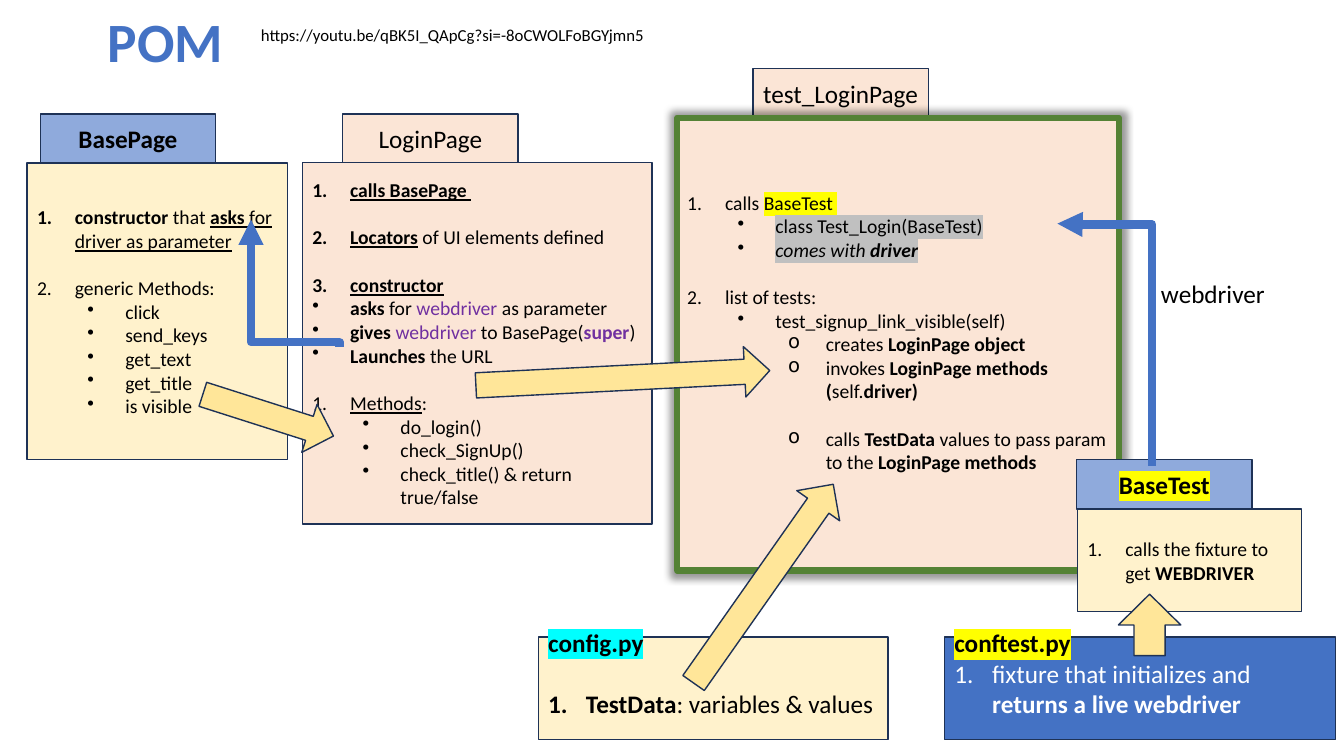
from dataclasses import dataclass
from typing import Optional

from lxml.etree import SubElement
from pptx import Presentation
from pptx.dml.color import RGBColor
from pptx.enum.shapes import MSO_CONNECTOR, MSO_SHAPE
from pptx.enum.text import MSO_ANCHOR, PP_ALIGN
from pptx.oxml.ns import qn
from pptx.util import Pt

BLACK = RGBColor(0, 0, 0)
WHITE = RGBColor(255, 255, 255)
BLUE = RGBColor(0x44, 0x72, 0xC4)
LIGHT_BLUE = RGBColor(0x8F, 0xAA, 0xDC)
NAVY = RGBColor(0x1E, 0x32, 0x56)
CREAM = RGBColor(0xFF, 0xF2, 0xCC)
PEACH = RGBColor(0xFB, 0xE5, 0xD6)
GOLD = RGBColor(0xFF, 0xE6, 0x99)
GREEN = RGBColor(0x54, 0x82, 0x35)
PURPLE = RGBColor(0x70, 0x30, 0xA0)
YELLOW = RGBColor(255, 255, 0)
CYAN = RGBColor(0, 255, 255)
SILVER = RGBColor(0xC0, 0xC0, 0xC0)

FONT = "Calibri"
HANG = 27
LEVEL_STEP = 36
INSET = 3.6
SMALL_LINE, LARGE_LINE = 17.1, 22
TAB_WIDTH, TAB_HEIGHT = 125.3, 35.3


@dataclass
class Span:
    """Text with a style made of the letters b, i and u."""
    text: str
    style: str = ""
    color: Optional[RGBColor] = None
    highlight: Optional[RGBColor] = None


@dataclass
class Para:
    """A line of text; mark is a number, a bullet character or nothing."""
    spans: list[Span]
    mark: int | str | None = None
    level: int = 0
    gap: float = 0
    color: RGBColor = BLACK


@dataclass
class Box:
    left: float
    top: float
    width: float
    height: float
    fill: RGBColor
    paras: list[Para]
    size: float = 14
    align: PP_ALIGN = PP_ALIGN.LEFT
    bottom_inset: float = INSET
    framed: bool = False


@dataclass
class BlockArrow:
    left: float
    top: float
    width: float
    height: float
    rotation: float


@dataclass
class Label:
    left: float
    top: float
    width: float
    height: float
    text: str
    size: float
    color: RGBColor = BLACK
    bold: bool = False


def tab(left: float, top: float, fill: RGBColor, span: Span) -> Box:
    return Box(left, top, TAB_WIDTH, TAB_HEIGHT, fill, [Para([span])], 18, PP_ALIGN.CENTER)


def bullets(level: int, *texts: str) -> list[Para]:
    return [Para([Span(text)], "•", level) for text in texts]


BOXES = [
    tab(28.8, 81.4, LIGHT_BLUE, Span("BasePage", "b")),
    Box(19.4, 116.6, 185.8, 211.7, CREAM, [
        Para([Span("constructor", "b"), Span(" that "), Span("asks", "bu"),
              Span(" for driver as parameter", "u")], 1),
        Para([Span("generic Methods:")], 2, gap=SMALL_LINE),
        *bullets(1, "click", "send_keys", "get_text", "get_title", "is visible")]),
    tab(244.8, 81.4, PEACH, Span("LoginPage")),
    Box(216, 115.9, 249.8, 258.5, PEACH, [
        Para([Span("calls BasePage ", "bu")], 1),
        Para([Span("Locators", "bu"), Span(" of UI elements defined")], 2, gap=SMALL_LINE),
        Para([Span("constructor", "bu")], 3, gap=SMALL_LINE),
        Para([Span("asks", "b"), Span(" for "), Span("webdriver", color=PURPLE),
              Span(" as parameter")], "•"),
        Para([Span("gives ", "b"), Span("webdriver ", color=PURPLE), Span("to BasePage("),
              Span("super", "b", PURPLE), Span(")")], "•"),
        Para([Span("Launches", "b"), Span(" the URL")], "•"),
        Para([Span("Methods", "u"), Span(":")], 1, gap=SMALL_LINE),
        *bullets(1, "do_login()", "check_SignUp()", "check_title() & return true/false")]),
    Box(674.6, 455, 279.4, 73.4, BLUE, [
        Para([Span("conftest.py", "b", highlight=YELLOW)]),
        Para([Span("fixture that initializes and "), Span("returns a live webdriver", "b")],
             1, color=WHITE)], 18, bottom_inset=INSET + LARGE_LINE),
    Box(384.5, 455, 249.8, 73.4, CREAM, [
        Para([Span("config.py", "b", highlight=CYAN)]),
        Para([Span("TestData", "b"), Span(": variables & values")], 1, gap=LARGE_LINE)],
        18, bottom_inset=INSET + LARGE_LINE),
    tab(537.8, 49, PEACH, Span("test_LoginPage")),
    Box(483.8, 84.2, 315.4, 323.3, PEACH, [
        Para([Span("calls "), Span("BaseTest ", highlight=YELLOW)], 1),
        Para([Span("class Test_Login(BaseTest)", highlight=SILVER)], "•", 1),
        Para([Span("comes with ", "i", highlight=SILVER),
              Span("driver", "bi", highlight=SILVER)], "•", 1),
        Para([Span("list of tests:")], 2, gap=SMALL_LINE),
        *bullets(1, "test_signup_link_visible(self)"),
        Para([Span("creates "), Span("LoginPage object", "b")], "o", 2),
        Para([Span("invokes "), Span("LoginPage methods (", "b"), Span("self."),
              Span("driver)", "b")], "o", 2),
        Para([Span("calls"), Span(" TestData ", "b"), Span("values to pass param to the"),
              Span(" LoginPage methods", "b")], "o", 2, SMALL_LINE)],
        bottom_inset=INSET + SMALL_LINE, framed=True),
    tab(769, 328.3, LIGHT_BLUE, Span("BaseTest", "b", highlight=YELLOW)),
    Box(769.7, 363.6, 159.8, 73.4, CREAM, [
        Para([Span("calls the fixture to get "), Span("WEBDRIVER", "b")], 1)]),
]
BLOCK_ARROWS = [
    BlockArrow(799.2, 424.1, 43.9, 44.6, 270),
    BlockArrow(458.6, 398.2, 173.5, 37.4, 305.1),
    BlockArrow(339.8, 252, 210.2, 36, 357.1),
    BlockArrow(142.6, 278.6, 97.9, 36, 17.7),
]
LABELS = [
    Label(69.8, 20.9, 109.4, 15.1, "POM", 39.6, BLUE, True),
    Label(822.2, 195.1, 107.3, 28.8, "webdriver", 18),
    Label(179.3, 14.4, 300.2, 21.6, "https://youtu.be/qBK5I_QApCg?si=-8oCWOLFoBGYjmn5", 12),
]


def write_para(para, content: Para, size: float, align: PP_ALIGN) -> None:
    para.alignment, para.level = align, content.level
    if content.gap:
        para.space_before = Pt(content.gap)
    if content.mark is not None:
        properties = para._p.get_or_add_pPr()
        properties.set("marL", str(Pt(HANG + LEVEL_STEP * content.level)))
        properties.set("indent", str(Pt(-HANG)))
        if isinstance(content.mark, int):
            SubElement(properties, qn("a:buAutoNum"), type="arabicPeriod", startAt=str(content.mark))
        else:
            SubElement(properties, qn("a:buChar"), char=content.mark)
    para.font.name, para.font.size = FONT, Pt(size)
    para.font.color.rgb = content.color
    for span in content.spans:
        run = para.add_run()
        run.text = span.text
        for letter, name in (("b", "bold"), ("i", "italic"), ("u", "underline")):
            if letter in span.style:
                setattr(run.font, name, True)
        if span.color is not None:
            run.font.color.rgb = span.color
        if span.highlight is not None:
            highlight = SubElement(run._r.get_or_add_rPr(), qn("a:highlight"))
            SubElement(highlight, qn("a:srgbClr"), val=str(span.highlight))


def add_outlined(page, kind: MSO_SHAPE, item: Box | BlockArrow, fill: RGBColor):
    shape = page.shapes.add_shape(kind, Pt(item.left), Pt(item.top), Pt(item.width), Pt(item.height))
    shape.shadow.inherit = False
    shape.fill.solid()
    shape.fill.fore_color.rgb = fill
    shape.line.color.rgb, shape.line.width = NAVY, Pt(1)
    return shape


def draw_box(page, box: Box) -> None:
    shape = add_outlined(page, MSO_SHAPE.RECTANGLE, box, box.fill)
    if box.framed:
        shape.line.color.rgb, shape.line.width = GREEN, Pt(4.5)
        glow = SubElement(shape._element.spPr.find(qn("a:effectLst")), qn("a:outerShdw"),
                          blurRad=str(Pt(5)), sx="102000", sy="102000", algn="ctr", rotWithShape="0")
        SubElement(SubElement(glow, qn("a:srgbClr"), val=str(BLACK)), qn("a:alpha"), val="40000")
    frame = shape.text_frame
    frame.word_wrap, frame.vertical_anchor = True, MSO_ANCHOR.MIDDLE
    frame.margin_bottom = Pt(box.bottom_inset)
    for index, content in enumerate(box.paras):
        para = frame.add_paragraph() if index else frame.paragraphs[0]
        write_para(para, content, box.size, box.align)


def draw_label(page, label: Label) -> None:
    shape = page.shapes.add_textbox(Pt(label.left), Pt(label.top), Pt(label.width), Pt(label.height))
    frame = shape.text_frame
    frame.word_wrap, frame.vertical_anchor = True, MSO_ANCHOR.MIDDLE
    span = Span(label.text, "b" if label.bold else "")
    write_para(frame.paragraphs[0], Para([span], color=label.color), label.size, PP_ALIGN.LEFT)


def draw_elbow(page, start: tuple[float, float], end: tuple[float, float], bend: int) -> None:
    """Arrow going up and to the left, turning at bend thousandths of its rise."""
    (x1, y1), (x2, y2) = start, end
    middle_x, middle_y = (x1 + x2) / 2, (y1 + y2) / 2
    half_run, half_rise = (x1 - x2) / 2, (y1 - y2) / 2
    elbow = page.shapes.add_connector(
        MSO_CONNECTOR.ELBOW, Pt(middle_x - half_rise), Pt(middle_y + half_run),
        Pt(middle_x + half_rise), Pt(middle_y - half_run))
    elbow.line.color.rgb, elbow.line.width = BLUE, Pt(6)
    properties = elbow._element.spPr
    properties.find(qn("a:xfrm")).set("rot", str(270 * 60000))
    guides = properties.find(qn("a:prstGeom")).get_or_add_avLst()
    SubElement(guides, qn("a:gd"), name="adj1", fmla=f"val {bend * 100}")
    SubElement(properties.find(qn("a:ln")), qn("a:tailEnd"), type="triangle")
    SubElement(properties, qn("a:effectLst"))


def main() -> None:
    deck = Presentation()
    deck.slide_width, deck.slide_height = Pt(960), Pt(540)
    page = deck.slides.add_slide(deck.slide_layouts[6])
    for box in BOXES:
        draw_box(page, box)
    for arrow in BLOCK_ARROWS:
        add_outlined(page, MSO_SHAPE.RIGHT_ARROW, arrow, GOLD).rotation = arrow.rotation
    draw_elbow(page, (823, 332.6), (755.3, 159.8), 997)
    draw_elbow(page, (242.6, 247.7), (179.3, 157), 36)
    for label in LABELS:
        draw_label(page, label)
    deck.save("out.pptx")


if __name__ == "__main__":
    main()
